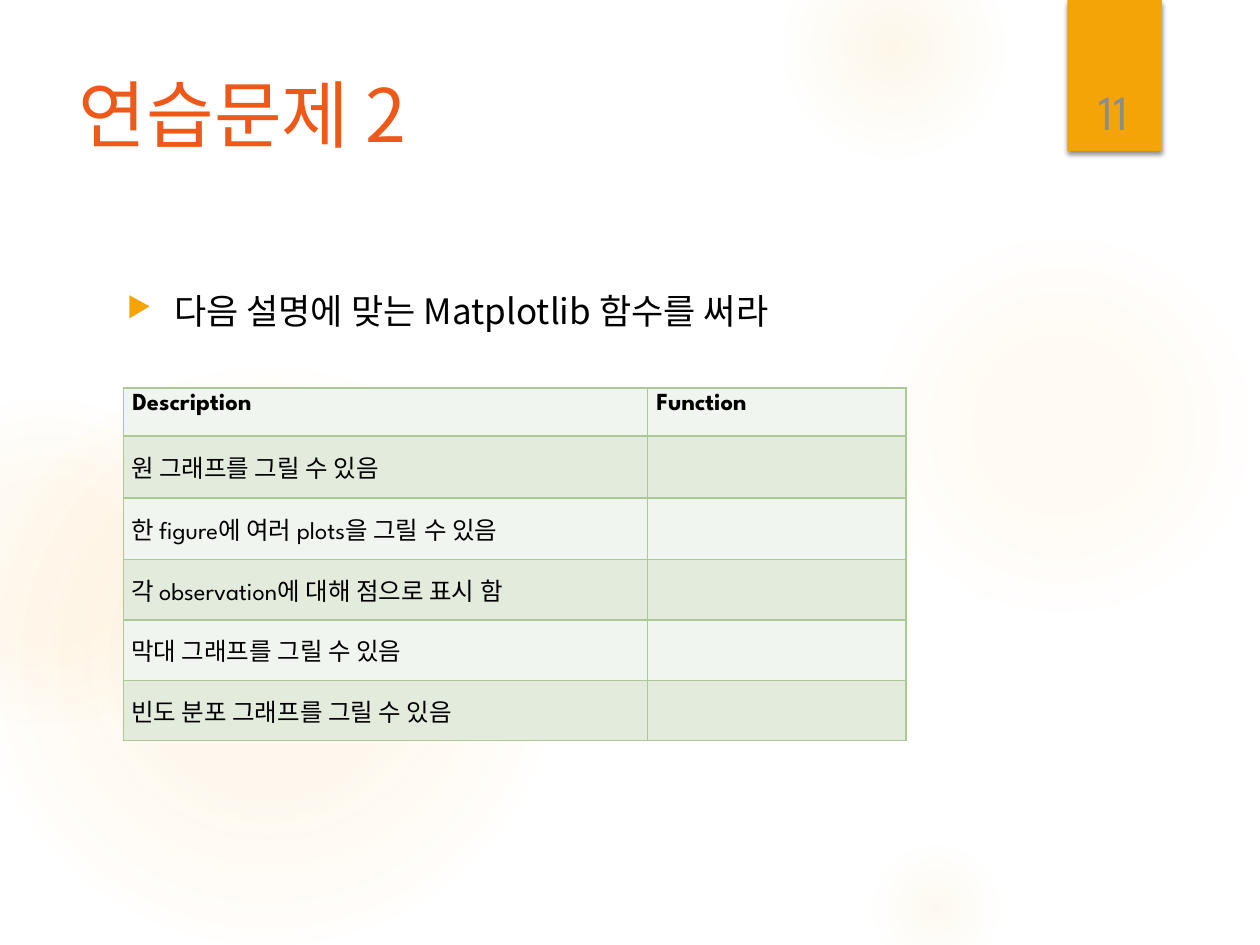
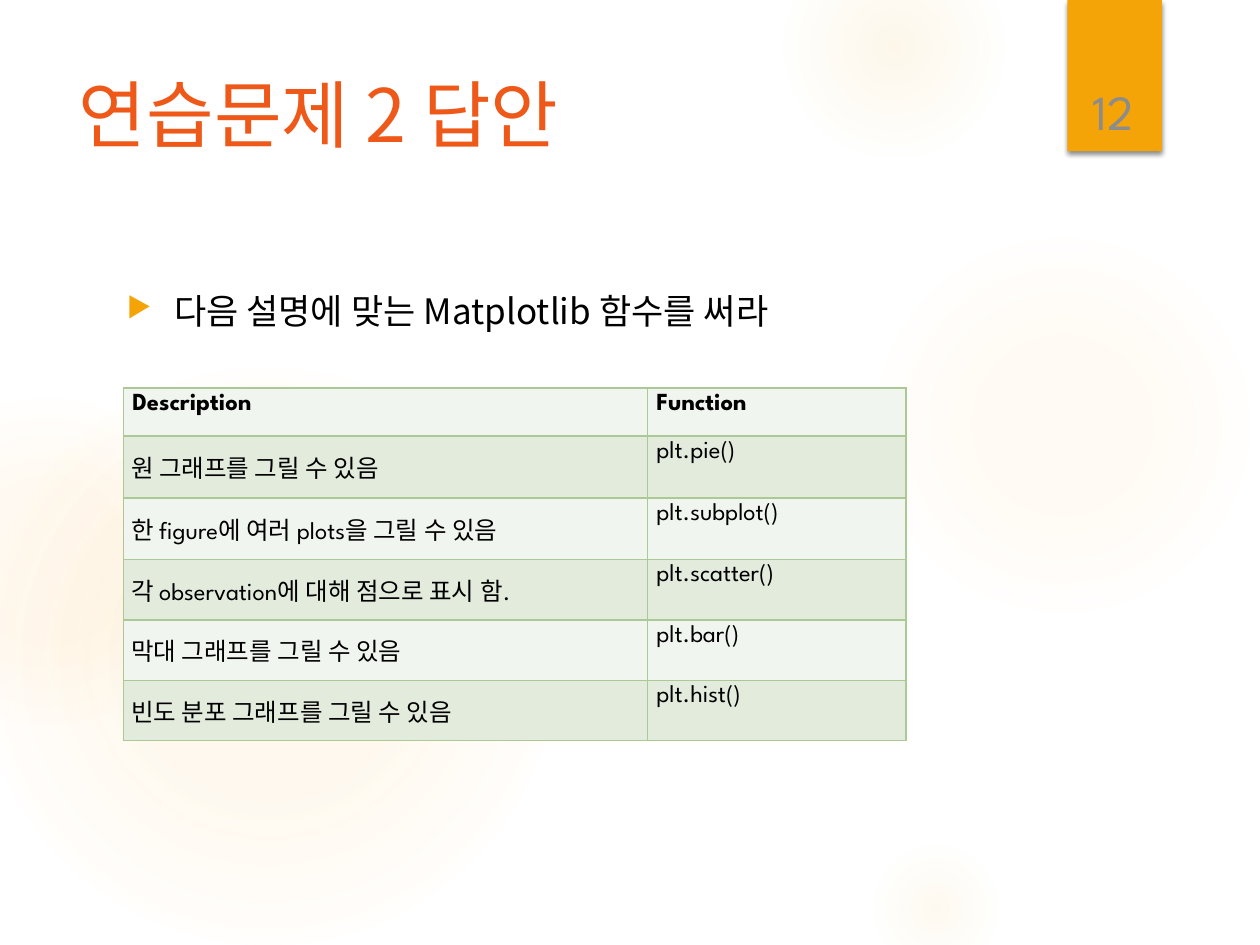
"""Build two Matplotlib exercise slides: the questions and their answers."""
from lxml import etree
from pptx import Presentation
from pptx.dml.color import RGBColor
from pptx.enum.shapes import MSO_SHAPE
from pptx.enum.text import MSO_ANCHOR, PP_ALIGN
from pptx.oxml.ns import qn
from pptx.util import Pt

OVAL, RECT = MSO_SHAPE.OVAL, MSO_SHAPE.RECTANGLE
TOP, MIDDLE, BOTTOM = MSO_ANCHOR.TOP, MSO_ANCHOR.MIDDLE, MSO_ANCHOR.BOTTOM
LEFT, CENTER = PP_ALIGN.LEFT, PP_ALIGN.CENTER
LATIN, HANGUL = "League Spartan", "Noto Sans CJK KR"
SPACE = "http://schemas.openxmlformats.org/drawingml/2006/main"
COLORS = {
    "title": "EE5818", "text": "000000", "number": "8C8C8C",
    "accent": "F5A408", "glow": "FAC96A", "border": "ACC995",
    "light": "F1F5EF", "dark": "E3EBDD",
}

GLOWS = [
    (496, 132, 222, [(0, 7), (36, 6), (69, 0)]),
    (448, -36, 126, [(0, 14), (36, 7), (73, 0)]),
    (496, 480, 78, [(0, 10), (31, 5), (66, 0)]),
    (-12, 210, 330, [(0, 11), (36, 10), (75, 0)]),
    (-66, 228, 186, [(0, 8), (36, 8), (72, 0)]),
]
PROMPT = "다음 설명에 맞는 Matplotlib 함수를 써라"
TASKS = [
    "원 그래프를 그릴 수 있음",
    "한 figure에 여러 plots을 그릴 수 있음",
    "각 observation에 대해 점으로 표시 함",
    "막대 그래프를 그릴 수 있음",
    "빈도 분포 그래프를 그릴 수 있음",
]
SOLVED = TASKS[:2] + [TASKS[2] + "."] + TASKS[3:]
CALLS = ["plt.pie()", "plt.subplot()", "plt.scatter()", "plt.bar()", "plt.hist()"]
SLIDES = [
    ("연습문제 2", "11", TASKS, [""] * len(TASKS)),
    ("연습문제 2 답안", "12", SOLVED, CALLS),
]
WIDTHS = [299.5, 147.6]
HEIGHTS = [27.4, 35.3, 35.3, 34.5, 34.5, 34.5]


def node(tag, body="", **attrs):
    """Make one DrawingML element with the given inner markup."""
    pairs = "".join(f' {key}="{value}"' for key, value in attrs.items())
    return etree.fromstring(f'<a:{tag} xmlns:a="{SPACE}"{pairs}>{body}</a:{tag}>')


def write(frame, text, size=14, font=LATIN, color="text", bold=False,
          align=LEFT, anchor=TOP, bullet=False):
    """Put one formatted paragraph into a text frame."""
    frame.word_wrap = True
    frame.vertical_anchor = anchor
    para = frame.paragraphs[0]
    para.alignment = align
    if bullet:
        props = para._p.get_or_add_pPr()
        props.set("marL", str(Pt(27)))
        props.set("indent", str(-Pt(27)))
        props.append(node("buClr", f'<a:srgbClr val="{COLORS["accent"]}"/>'))
        props.append(node("buSzPct", val=80000))
        props.append(node("buChar", char="▶"))
    run = para.add_run()
    run.text = text
    run.font.size = Pt(size)
    run.font.name = font
    run.font.bold = bold
    run.font.color.rgb = RGBColor.from_string(COLORS[color])
    run.font._element.find(qn("a:latin")).addnext(node("ea", typeface=HANGUL))


deck = Presentation()
deck.slide_width, deck.slide_height = Pt(720), Pt(540)

for title, number, tasks, calls in SLIDES:
    slide = deck.slides.add_slide(deck.slide_layouts[6])
    shapes = slide.shapes

    for left, top, side, stops in GLOWS:
        glow = shapes.add_shape(OVAL, Pt(left), Pt(top), Pt(side), Pt(side))
        glow.shadow.inherit = False
        glow.line.fill.background()
        glow.fill.background()
        marks = "".join(
            f'<a:gs pos="{pos * 1000}"><a:srgbClr val="{COLORS["glow"]}">'
            f'<a:alpha val="{alpha * 1000}"/></a:srgbClr></a:gs>'
            for pos, alpha in stops)
        blend = node("gradFill", f'<a:gsLst>{marks}</a:gsLst><a:path path="circle">'
                     '<a:fillToRect l="50000" t="50000" r="50000" b="50000"/></a:path>')
        props = glow._element.spPr
        props.replace(props.find(qn("a:noFill")), blend)

    tab = shapes.add_shape(RECT, Pt(610), Pt(0), Pt(54), Pt(86.4))
    tab.fill.solid()
    tab.fill.fore_color.rgb = RGBColor.from_string(COLORS["accent"])
    tab.line.fill.background()
    tab.shadow.inherit = False
    shade = '<a:srgbClr val="000000"><a:alpha val="45000"/></a:srgbClr>'
    tab._element.spPr.find(qn("a:effectLst")).append(
        node("outerShdw", shade, blurRad=Pt(3), dist=Pt(2), dir=5400000, rotWithShape=0))

    head = shapes.add_textbox(Pt(38), Pt(36), Pt(556), Pt(110))
    write(head.text_frame, title, size=42, font=HANGUL, color="title")
    body = shapes.add_textbox(Pt(65.5), Pt(162), Pt(528.5), Pt(330.5))
    write(body.text_frame, PROMPT, size=20, font=HANGUL, bullet=True)

    grid = shapes.add_table(len(HEIGHTS), len(WIDTHS), Pt(70.6), Pt(221.8),
                            Pt(sum(WIDTHS)), Pt(sum(HEIGHTS))).table
    grid.first_row = grid.horz_banding = False
    for col, width in zip(grid.columns, WIDTHS):
        col.width = Pt(width)
    rows = [("Description", "Function"), *zip(tasks, calls)]
    for r, texts in enumerate(rows):
        grid.rows[r].height = Pt(HEIGHTS[r])
        for c, text in enumerate(texts):
            cell = grid.cell(r, c)
            task = r > 0 and c == 0
            cell.margin_left = cell.margin_right = Pt(4.3 if task else 5)
            cell.margin_top = cell.margin_bottom = Pt(4.3 if task else 2.9)
            cell.fill.solid()
            tone = COLORS["dark" if r % 2 else "light"]
            cell.fill.fore_color.rgb = RGBColor.from_string(tone)
            if text:
                write(cell.text_frame, text, bold=r == 0)
            cell.vertical_anchor = MIDDLE if task else TOP
            paint = f'<a:solidFill><a:srgbClr val="{COLORS["border"]}"/></a:solidFill>'
            for spot, edge in enumerate(("lnL", "lnR", "lnT", "lnB")):
                cell._tc.tcPr.insert(spot, node(edge, paint, w=Pt(1)))

    page = shapes.add_textbox(Pt(611.3), Pt(23), Pt(49.7), Pt(60.5))
    write(page.text_frame, number, size=28, color="number", align=CENTER, anchor=BOTTOM)

deck.save("out.pptx")
